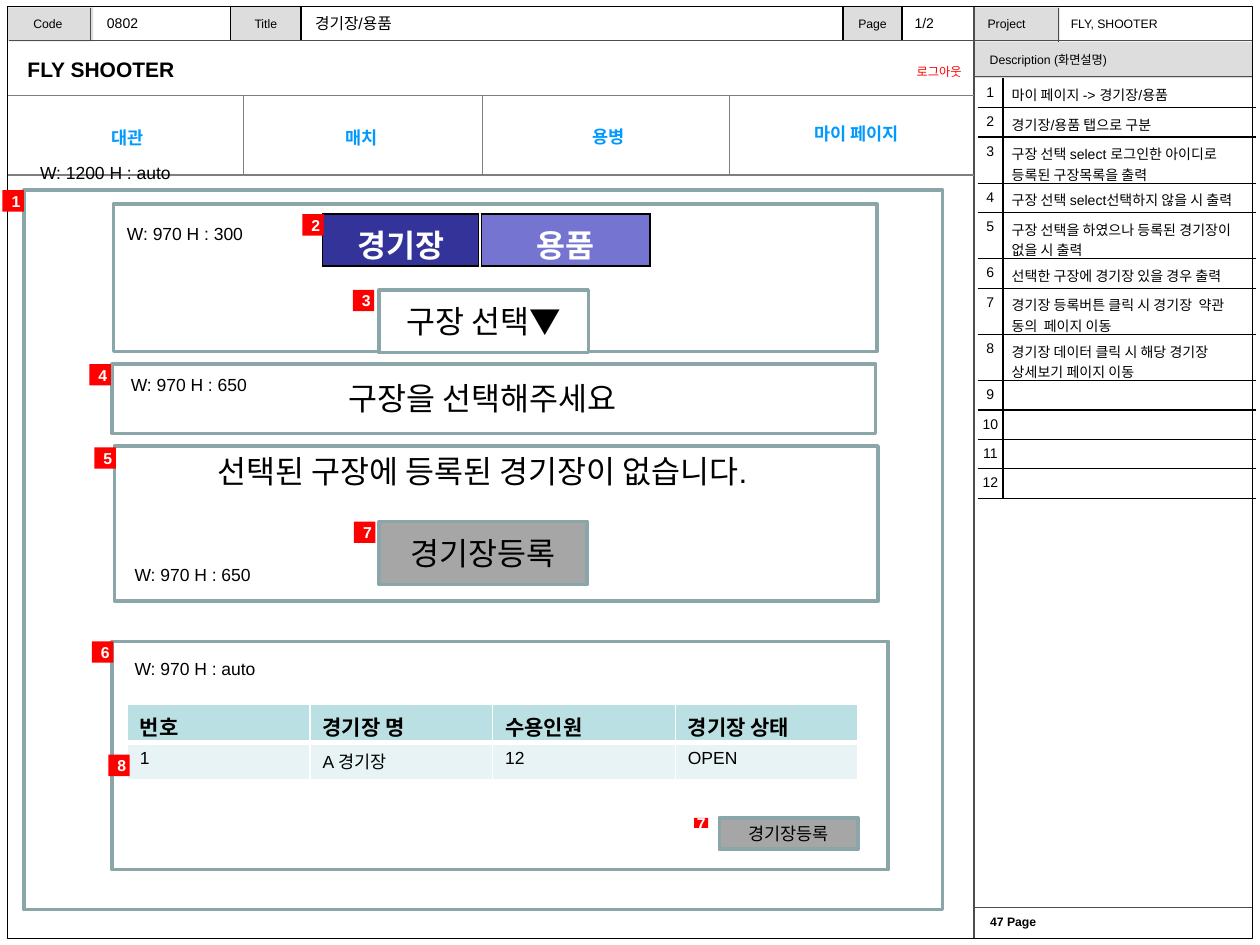
import pptx
import pptx.dml.color
import pptx.enum.shapes
import pptx.enum.text
import pptx.oxml.ns
import pptx.util
from lxml import etree

Inches, Pt = pptx.util.Inches, pptx.util.Pt
ALIGN, ANCHOR = pptx.enum.text.PP_ALIGN, pptx.enum.text.MSO_ANCHOR
FIT = pptx.enum.text.MSO_AUTO_SIZE
RECT = pptx.enum.shapes.MSO_SHAPE.RECTANGLE
STRAIGHT = pptx.enum.shapes.MSO_CONNECTOR.STRAIGHT
qn = pptx.oxml.ns.qn

BLACK, WHITE, RED = "000000", "FFFFFF", "FF0000"
HEADER_GREY, RULE, FRAME, BUTTON = "DDDDDD", "4D4D4D", "8AA6A8", "A6A6A6"
NO_STYLE = "{2D5ABB26-0587-4C30-8999-92F81FD0307C}"


def rgb(hex_color):
    return pptx.dml.color.RGBColor.from_string(hex_color)


def write(frame, text, size, color=BLACK, bold=False, align=ALIGN.LEFT):
    paragraph = frame.paragraphs[0]
    paragraph.alignment = align
    if not text:
        end = etree.SubElement(paragraph._p, qn("a:endParaRPr"))
        end.set("sz", str(size * 100))
        return
    run = paragraph.add_run()
    run.text = text
    for name, value in {"size": Pt(size), "bold": bold, "name": "Arial"}.items():
        setattr(run.font, name, value)
    run.font.color.rgb = rgb(color)


def set_frame(frame, anchor=ANCHOR.TOP, wrap=True, fit=FIT.NONE):
    settings = {"word_wrap": wrap, "auto_size": fit, "vertical_anchor": anchor}
    for name, value in settings.items():
        setattr(frame, name, value)


def box(slide, at, fill=None, line=None, width=0.75, text="", size=7, **style):
    shape = slide.shapes.add_shape(RECT, *map(Inches, at))
    shape.shadow.inherit = False
    if fill:
        shape.fill.solid()
        shape.fill.fore_color.rgb = rgb(fill)
    else:
        shape.fill.background()
    if line:
        shape.line.color.rgb = rgb(line)
        shape.line.width = Pt(width)
    else:
        shape.line.fill.background()
    if text:
        set_frame(shape.text_frame, ANCHOR.MIDDLE)
        write(shape.text_frame, text, size, **style)


def label(slide, at, text, size=7, anchor=ANCHOR.TOP, wrap=True, fit=FIT.NONE, **style):
    frame = slide.shapes.add_textbox(*map(Inches, at)).text_frame
    set_frame(frame, anchor, wrap, fit)
    write(frame, text, size, **style)


def rule(slide, x1, y1, x2, y2, color=RULE):
    line = slide.shapes.add_connector(STRAIGHT, *map(Inches, (x1, y1, x2, y2)))
    line.line.color.rgb = rgb(color)
    line.line.width = Pt(0.75)
    etree.SubElement(line._element.spPr, qn("a:effectLst"))


def table(slide, at, widths, heights):
    grid_frame = slide.shapes.add_table(len(heights), len(widths), *map(Inches, at))
    grid = grid_frame.table
    grid.first_row = grid.horz_banding = False
    grid._tbl.tblPr.find(qn("a:tableStyleId")).text = NO_STYLE
    for column, width in zip(grid.columns, widths):
        column.width = Inches(width)
    for row, height in zip(grid.rows, heights):
        row.height = Inches(height)
    return grid


def format_cell(cell, borders, color, fill=None, side_margin=0.1):
    """borders maps the sides, in the order L, R, T, B, to widths in points."""
    properties = cell._tc.get_or_add_tcPr()
    for side, width in borders.items():
        edge = etree.SubElement(properties, qn("a:ln" + side), w=str(int(Pt(width))))
        paint = etree.SubElement(edge, qn("a:solidFill"))
        etree.SubElement(paint, qn("a:srgbClr"), val=color)
    if fill:
        cell.fill.solid()
        cell.fill.fore_color.rgb = rgb(fill)
    else:
        cell.fill.background()
    cell.margin_left = cell.margin_right = Inches(side_margin)


def draw_header(slide):
    box(slide, (7.73, 0.33, 2.21, 0.29), HEADER_GREY, text=" Description (화면설명)")
    for left, width, text in ((6.69, 0.47, "Page"), (1.83, 0.56, "Title")):
        box(slide, (left, 0.05, width, 0.27), HEADER_GREY, BLACK, text=text,
            align=ALIGN.CENTER)
    for left in (0.06, 7.73):
        box(slide, (left, 0.06, 0.68, 0.27), HEADER_GREY)
    label(slide, (0.06, 0.05, 0.64, 0.27), "Code", anchor=ANCHOR.MIDDLE,
          align=ALIGN.CENTER)
    label(slide, (7.76, 7.21, 2.14, 0.24), "47 Page", bold=True)
    for ends in ((7.73, 0.05, 7.73, 7.45), (0.07, 0.32, 9.94, 0.32),
                 (8.4, 0.06, 8.4, 0.33), (7.74, 7.2, 9.94, 7.2),
                 (7.74, 0.61, 9.94, 0.61), (0.72, 0.06, 0.72, 0.32)):
        rule(slide, *ends)
    label(slide, (7.74, 0.08, 0.66, 0.24), "Project")
    label(slide, (8.4, 0.08, 1.5, 0.24), "FLY, SHOOTER")
    box(slide, (0.06, 0.05, 9.88, 7.4), line=BLACK)
    for left, width, text in ((0.75, 1.02, "0802"), (7.16, 0.52, "1/2")):
        label(slide, (left, 0.05, width, 0.26), text, 8, ANCHOR.MIDDLE)

    title = slide.shapes.title
    place = {"left": 2.4, "top": 0.06, "width": 4.25, "height": 0.25}
    for name, value in place.items():
        setattr(title, name, Inches(value))
    set_frame(title.text_frame, ANCHOR.MIDDLE)
    write(title.text_frame, "경기장/용품", 9)


def draw_menu(slide):
    label(slide, (0.12, 0.4, 6.23, 0.3), "FLY SHOOTER", 12, ANCHOR.MIDDLE, bold=True)
    label(slide, (6.65, 0.46, 1.08, 0.22), "로그아웃", color=RED, align=ALIGN.RIGHT)
    for y in (0.76, 1.39):
        rule(slide, 0.06, y, 7.73, y, "7F7F7F")
    for x in (1.93, 3.83, 5.79):
        rule(slide, x, 0.76, x, 1.39, "7F7F7F")
    for left, top, text in ((0.08, 0.96, "대관"), (1.94, 0.96, "매치"),
                            (3.9, 0.95, "용병"), (5.87, 0.93, "마이 페이지")):
        label(slide, (left, top, 1.86, 0.27), text, 10, fit=FIT.SHAPE_TO_FIT_TEXT,
              color="0099FF", bold=True, align=ALIGN.CENTER)


def draw_panels(slide):
    for at in ((0.19, 1.51, 7.29, 5.71), (0.9, 1.62, 6.06, 1.17),
               (0.91, 3.54, 6.06, 1.23), (0.89, 2.89, 6.06, 0.55),
               (0.89, 5.09, 6.16, 1.81)):
        box(slide, at, WHITE, FRAME, 2)
    for left, top, text in ((0.22, 1.24, "W: 1200 H : auto"),
                            (0.91, 1.72, "W: 970 H : 300"),
                            (0.94, 2.92, "W: 970 H : 650"),
                            (0.97, 4.43, "W: 970 H : 650"),
                            (0.97, 5.17, "W: 970 H : auto")):
        label(slide, (left, top, 1.26, 0.27), text, 10, fit=FIT.SHAPE_TO_FIT_TEXT)
    # Tabs
    for left, width, fill, text in ((2.56, 1.24, "333399", "경기장"),
                                    (3.82, 1.34, "7575D1", "용품")):
        tab = table(slide, (left, 1.7, width, 0.41), [width], [0.41]).cell(0, 0)
        format_cell(tab, dict.fromkeys("LRTB", 1), BLACK, fill)
        write(tab.text_frame, text, 18, WHITE, True, ALIGN.CENTER)
    # Buttons and messages
    for at, fill, text, size in (
            ((3.01, 2.3, 1.66, 0.5), WHITE, "구장 선택▼", 18),
            ((3.01, 4.14, 1.65, 0.5), BUTTON, "경기장등록", 18),
            ((5.71, 6.49, 1.1, 0.25), BUTTON, "경기장등록", 10)):
        box(slide, at, fill, FRAME, 2, text, size, align=ALIGN.CENTER)
    for at, text in (((2.56, 2.96, 2.54, 0.4), "구장을 선택해주세요"),
                     ((1.41, 3.54, 4.84, 0.4), "선택된 구장에 등록된 경기장이 없습니다.")):
        label(slide, at, text, 18, wrap=False, fit=FIT.SHAPE_TO_FIT_TEXT,
              align=ALIGN.CENTER)


def draw_stadiums(slide):
    rows = (("번호", "경기장 명", "수용인원", "경기장 상태"), ("1", "A 경기장", "12", "OPEN"))
    grid = table(slide, (1.01, 5.59, 5.81, 0.61), [1.45] * 4, [0.3] * 2)
    for r, (texts, fill, size) in enumerate(zip(rows, ("BBE0E3", "E7F3F4"), (12, 10))):
        borders = {"L": 1, "R": 1, "T": 1 if r == 0 else 3, "B": 3 if r == 0 else 1}
        for c, text in enumerate(texts):
            format_cell(grid.cell(r, c), borders, WHITE, fill)
            write(grid.cell(r, c).text_frame, text, size, bold=r == 0)


def draw_descriptions(slide):
    notes = ("마이 페이지 -> 경기장/용품", "경기장/용품 탭으로 구분",
             "구장 선택 select 로그인한 아이디로 등록된 구장목록을 출력",
             "구장 선택 select선택하지 않을 시 출력",
             "구장 선택을 하였으나 등록된 경기장이 없을 시 출력",
             "선택한 구장에 경기장 있을 경우 출력",
             "경기장 등록버튼 클릭 시 경기장  약관 동의  페이지 이동",
             "경기장 데이터 클릭 시 해당 경기장 상세보기 페이지 이동", "", "", "", "")
    grid = table(slide, (7.76, 0.62, 2.2, 3.53), [0.2, 2.01], [0.15] + [0.22] * 11)
    for r, note in enumerate(notes):
        top = {"T": 0.75} if r else {}
        number, text = grid.cell(r, 0), grid.cell(r, 1)
        format_cell(number, {"R": 0.75, **top, "B": 0.75}, BLACK, side_margin=0.02)
        format_cell(text, {"L": 0.75, **top, "B": 0.75}, BLACK, side_margin=0.07)
        write(number.text_frame, str(r + 1), 8, align=ALIGN.CENTER)
        write(text.text_frame, note, 8)


def draw_markers(slide):
    # The last marker is a smaller one beside the lower button
    for number, left, top, width, height in (
            (1, 0.02, 1.51, 0.17, 0.17), (2, 2.4, 1.7, 0.17, 0.17),
            (3, 2.8, 2.3, 0.17, 0.17), (4, 0.71, 2.89, 0.17, 0.17),
            (5, 0.75, 3.55, 0.17, 0.17), (7, 2.81, 4.14, 0.17, 0.17),
            (6, 0.73, 5.09, 0.17, 0.17), (8, 0.86, 5.99, 0.17, 0.17),
            (7, 5.51, 6.49, 0.11, 0.08)):
        box(slide, (left, top, width, height), RED, text=str(number), size=9,
            color=WHITE, bold=True, align=ALIGN.CENTER)


def main():
    deck = pptx.Presentation()
    deck.slide_width, deck.slide_height = Inches(10), Inches(7.5)
    slide = deck.slides.add_slide(deck.slide_layouts[5])
    for draw in (draw_header, draw_menu, draw_panels, draw_stadiums,
                 draw_descriptions, draw_markers):
        draw(slide)
    deck.save("out.pptx")


main()
